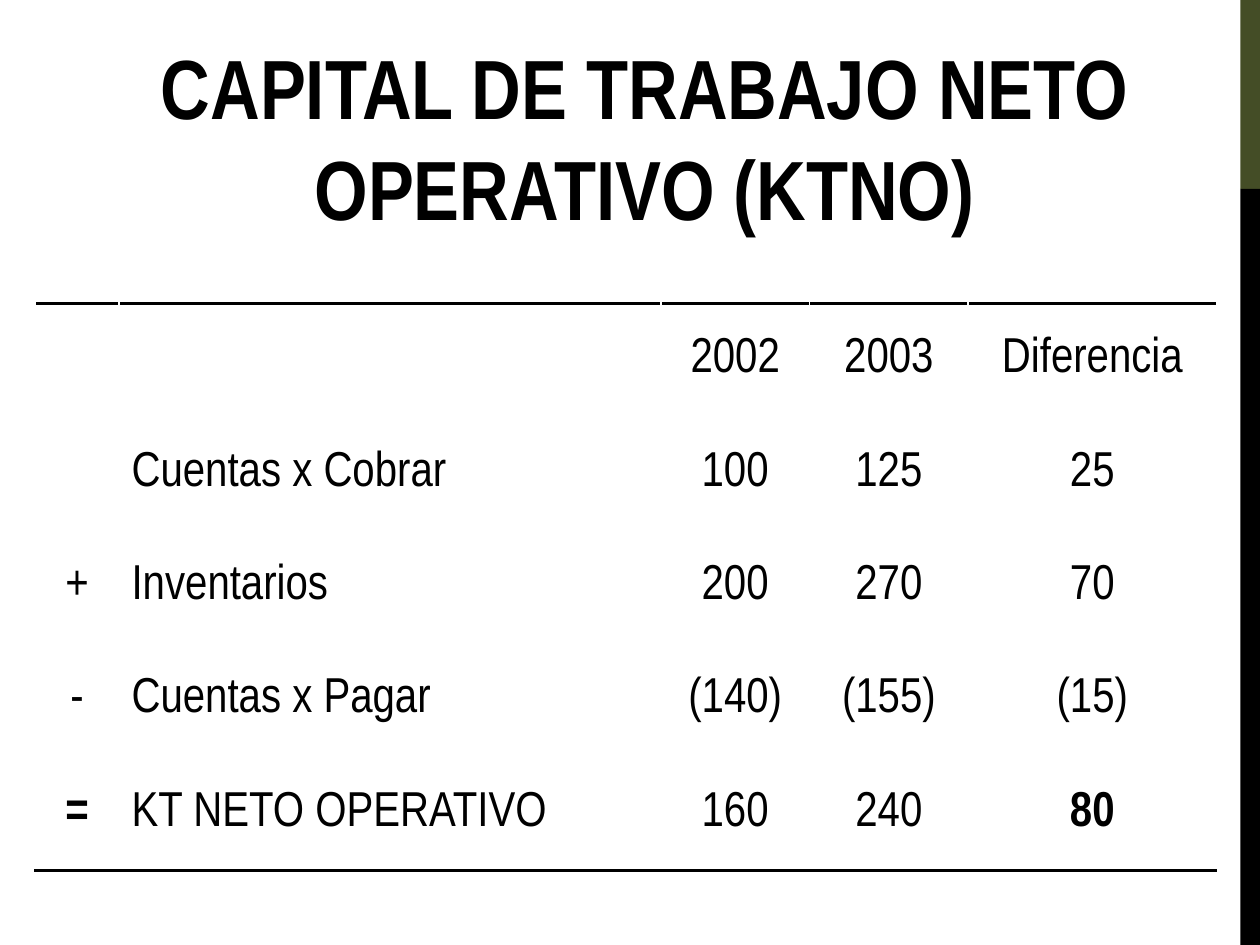
from lxml import etree
from pptx import Presentation
from pptx.dml.color import RGBColor
from pptx.enum.shapes import MSO_SHAPE
from pptx.enum.text import MSO_ANCHOR, PP_ALIGN
from pptx.oxml.ns import qn
from pptx.util import Pt

BLACK = RGBColor(0x00, 0x00, 0x00)
WHITE = RGBColor(0xFF, 0xFF, 0xFF)
OLIVE = RGBColor(0x44, 0x4D, 0x26)
FONT = "Arial Narrow"

COLUMN_WIDTHS = [48, 309.6, 85, 90.7, 141.8]
LABEL_COLUMN = 1
ROWS = [
    ["", "", "2002", "2003", "Diferencia"],
    ["", "Cuentas x Cobrar", "100", "125", "25"],
    ["+", "Inventarios", "200", "270", "70"],
    ["-", "Cuentas x Pagar", "(140)", "(155)", "(15)"],
    ["=", "KT NETO OPERATIVO", "160", "240", "80"],
]
BOLD_TEXTS = {"=", "80"}


def write_text(text_frame, text, size, bold, alignment):
    text_frame.text = text
    paragraph = text_frame.paragraphs[0]
    paragraph.alignment = alignment
    font = paragraph.font
    if paragraph.runs:
        font = paragraph.runs[0].font
    font.name = FONT
    font.size = Pt(size)
    font.bold = bold
    font.color.rgb = BLACK
    return paragraph


def add_side_band(slide, left, top, width, height):
    """Draw the right-hand band: the top fifth olive, the rest black."""
    olive_height = height / 5
    for color, part_top, part_height in [
        (OLIVE, top, olive_height),
        (BLACK, top + olive_height, height - olive_height),
    ]:
        band = slide.shapes.add_shape(
            MSO_SHAPE.RECTANGLE, Pt(left), Pt(part_top), Pt(width), Pt(part_height)
        )
        band.shadow.inherit = False
        band.fill.solid()
        band.fill.fore_color.rgb = color
        band.line.fill.background()


def add_title(slide, left, top, width, height):
    box = slide.shapes.add_textbox(Pt(left), Pt(top), Pt(width), Pt(height))
    text_frame = box.text_frame
    text_frame.word_wrap = True
    text_frame.vertical_anchor = MSO_ANCHOR.BOTTOM
    write_text(
        text_frame, "CAPITAL DE TRABAJO NETO OPERATIVO (KTNO)", 48, True, PP_ALIGN.CENTER
    )


def add_cell_border(cell, side):
    """Rule one side of a cell; side is lnT for the top or lnB for the bottom."""
    border = etree.Element(qn(f"a:{side}"), w=str(Pt(2)))
    fill = etree.SubElement(border, qn("a:solidFill"))
    etree.SubElement(fill, qn("a:srgbClr"), val=str(BLACK))
    cell._tc.get_or_add_tcPr().insert(0, border)


def add_capital_table(slide, left, top, width, height):
    frame = slide.shapes.add_table(
        len(ROWS), len(COLUMN_WIDTHS), Pt(left), Pt(top), Pt(width), Pt(height)
    )
    table = frame.table
    table.first_row = False
    table.horz_banding = False
    for column, column_width in zip(table.columns, COLUMN_WIDTHS):
        column.width = Pt(column_width)
    for row_index, texts in enumerate(ROWS):
        table.rows[row_index].height = Pt(height / len(ROWS))
        for column_index, text in enumerate(texts):
            cell = table.cell(row_index, column_index)
            cell.fill.solid()
            cell.fill.fore_color.rgb = WHITE
            cell.vertical_anchor = MSO_ANCHOR.MIDDLE
            is_label = column_index == LABEL_COLUMN
            paragraph = write_text(
                cell.text_frame, text, 28, text in BOLD_TEXTS,
                PP_ALIGN.LEFT if is_label else PP_ALIGN.CENTER,
            )
            paragraph.space_before = Pt(5.6)
            if row_index == 0:
                add_cell_border(cell, "lnT")
            elif row_index == len(ROWS) - 1:
                add_cell_border(cell, "lnB")


def main():
    presentation = Presentation()
    presentation.slide_width = Pt(720)
    presentation.slide_height = Pt(540)
    slide = presentation.slides.add_slide(presentation.slide_layouts[6])
    add_side_band(slide, 708.75, 0, 11.25, 540)
    add_capital_table(slide, 20, 173.25, sum(COLUMN_WIDTHS), 324)
    add_title(slide, 31, 49, 675, 90)
    presentation.save("out.pptx")


if __name__ == "__main__":
    main()
